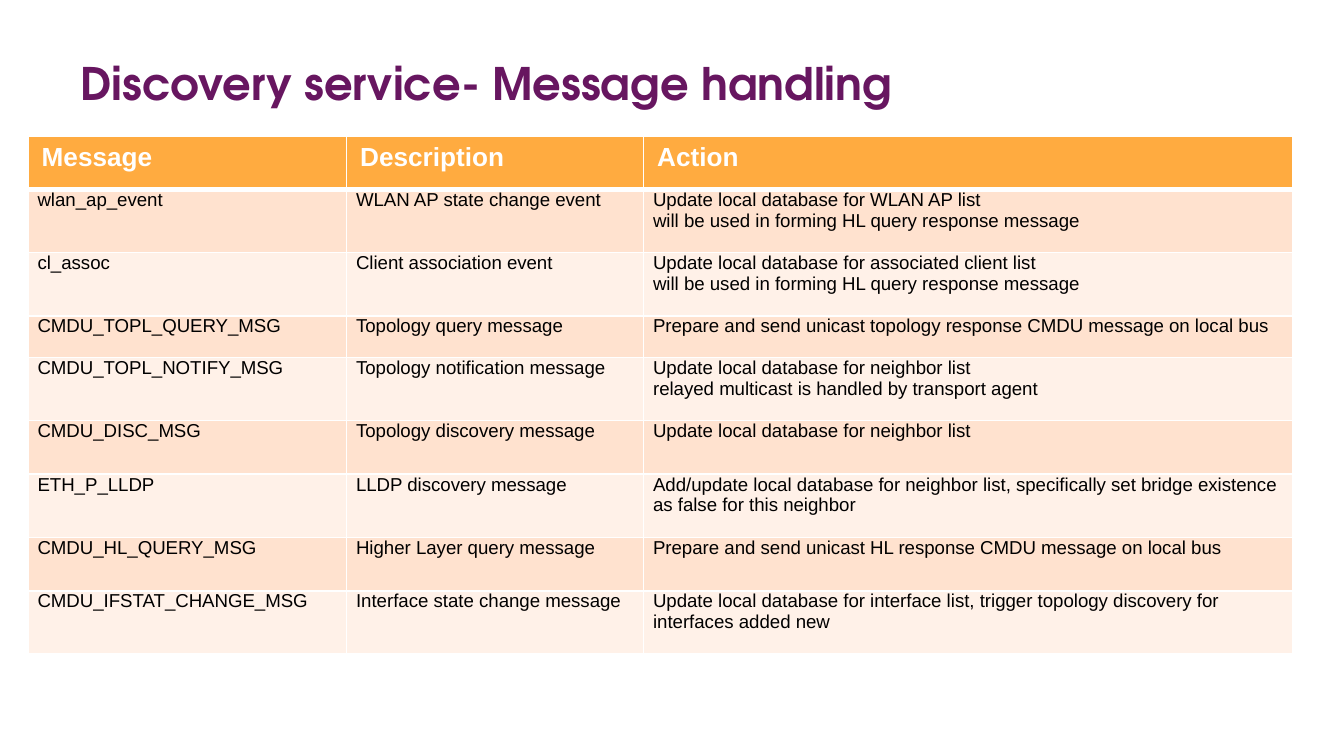
from lxml.etree import SubElement
from pptx import Presentation
from pptx.dml.color import RGBColor
from pptx.enum.text import MSO_ANCHOR as Anchor
from pptx.oxml.ns import qn
from pptx.util import Inches, Pt

TITLE = "Discovery service- Message handling"
HEADINGS = ("Message", "Description", "Action")
MESSAGES = [
    ("wlan_ap_event", "WLAN AP state change event",
     "Update local database for WLAN AP list\nwill be used in forming HL query response message"),
    ("cl_assoc", "Client association event",
     "Update local database for associated client list\nwill be used in forming HL query response message"),
    ("CMDU_TOPL_QUERY_MSG", "Topology query message",
     "Prepare and send unicast topology response CMDU message on local bus"),
    ("CMDU_TOPL_NOTIFY_MSG", "Topology notification message",
     "Update local database for neighbor list\nrelayed multicast is handled by transport agent"),
    ("CMDU_DISC_MSG", "Topology discovery message",
     "Update local database for neighbor list"),
    ("ETH_P_LLDP", "LLDP discovery message",
     "Add/update local database for neighbor list, specifically set bridge existence as false for this neighbor"),
    ("CMDU_HL_QUERY_MSG", "Higher Layer query message",
     "Prepare and send unicast HL response CMDU message on local bus"),
    ("CMDU_IFSTAT_CHANGE_MSG", "Interface state change message",
     "Update local database for interface list, trigger topology discovery for interfaces added new"),
]
SLIDE_WIDTH = Inches(10)
SLIDE_HEIGHT = SLIDE_WIDTH * 9 // 16
COLUMN_WIDTHS = (2.37, 2.21, 4.83)
ROW_HEIGHTS = (0.4, 0.47, 0.47, 0.31, 0.47, 0.4, 0.47, 0.4, 0.47)
COLORS = {"title": "671660", "header": "FFAB40", "odd": "FFE2CF",
          "even": "FFF1E8", "white": "FFFFFF", "black": "000000"}


def set_font(paragraph, face, size, color, bold):
    font = paragraph.font
    font.name, font.size, font.bold = face, Pt(size), bold
    font.color.rgb = RGBColor.from_string(COLORS[color])


def add_borders(cell, top_width, bottom_width):
    properties = cell._tc.get_or_add_tcPr()
    widths = {"lnL": 1, "lnR": 1, "lnT": top_width, "lnB": bottom_width}
    for index, (side, width) in enumerate(widths.items()):
        line = properties.makeelement(qn(f"a:{side}"), {"w": str(Pt(width))})
        fill = SubElement(line, qn("a:solidFill"))
        SubElement(fill, qn("a:srgbClr"), val=COLORS["white"])
        properties.insert(index, line)


def fill_cell(cell, wording, row, shade):
    is_header = row == 0
    cell.text = wording
    cell.fill.solid()
    cell.fill.fore_color.rgb = RGBColor.from_string(COLORS[shade])
    side, edge = (0.1, 0.05) if is_header else (0.07, 0)
    cell.margin_left = cell.margin_right = Inches(side)
    cell.margin_top = cell.margin_bottom = Inches(edge)
    for paragraph in cell.text_frame.paragraphs:
        if is_header:
            set_font(paragraph, "Arial", 14, "white", True)
        else:
            set_font(paragraph, "Arial", 10, "black", False)
    add_borders(cell, 3 if row == 1 else 1, 3 if is_header else 1)


def add_title(slide):
    box = slide.shapes.add_textbox(Inches(0.5), Inches(0.13), Inches(9.39), Inches(0.97))
    frame = box.text_frame
    frame.word_wrap = True
    frame.vertical_anchor = Anchor.MIDDLE
    frame.margin_left = frame.margin_right = Inches(0.1)
    frame.margin_top = frame.margin_bottom = Inches(0.1)
    frame.text = TITLE
    set_font(frame.paragraphs[0], "TeX Gyre Adventor", 24, "title", True)


def add_messages(slide):
    rows = [HEADINGS, *MESSAGES]
    table = slide.shapes.add_table(
        len(rows), len(HEADINGS), Inches(0.21), Inches(1.01),
        Inches(sum(COLUMN_WIDTHS)), Inches(sum(ROW_HEIGHTS))).table
    for column, width in zip(table.columns, COLUMN_WIDTHS):
        column.width = Inches(width)
    for r, (row, height) in enumerate(zip(rows, ROW_HEIGHTS)):
        table.rows[r].height = Inches(height)
        shade = "header" if r == 0 else "odd" if r % 2 else "even"
        for c, wording in enumerate(row):
            fill_cell(table.cell(r, c), wording, r, shade)


def main():
    deck = Presentation()
    deck.slide_width, deck.slide_height = SLIDE_WIDTH, SLIDE_HEIGHT
    slide = deck.slides.add_slide(deck.slide_layouts[6])
    add_title(slide)
    add_messages(slide)
    deck.save("out.pptx")


if __name__ == "__main__":
    main()
